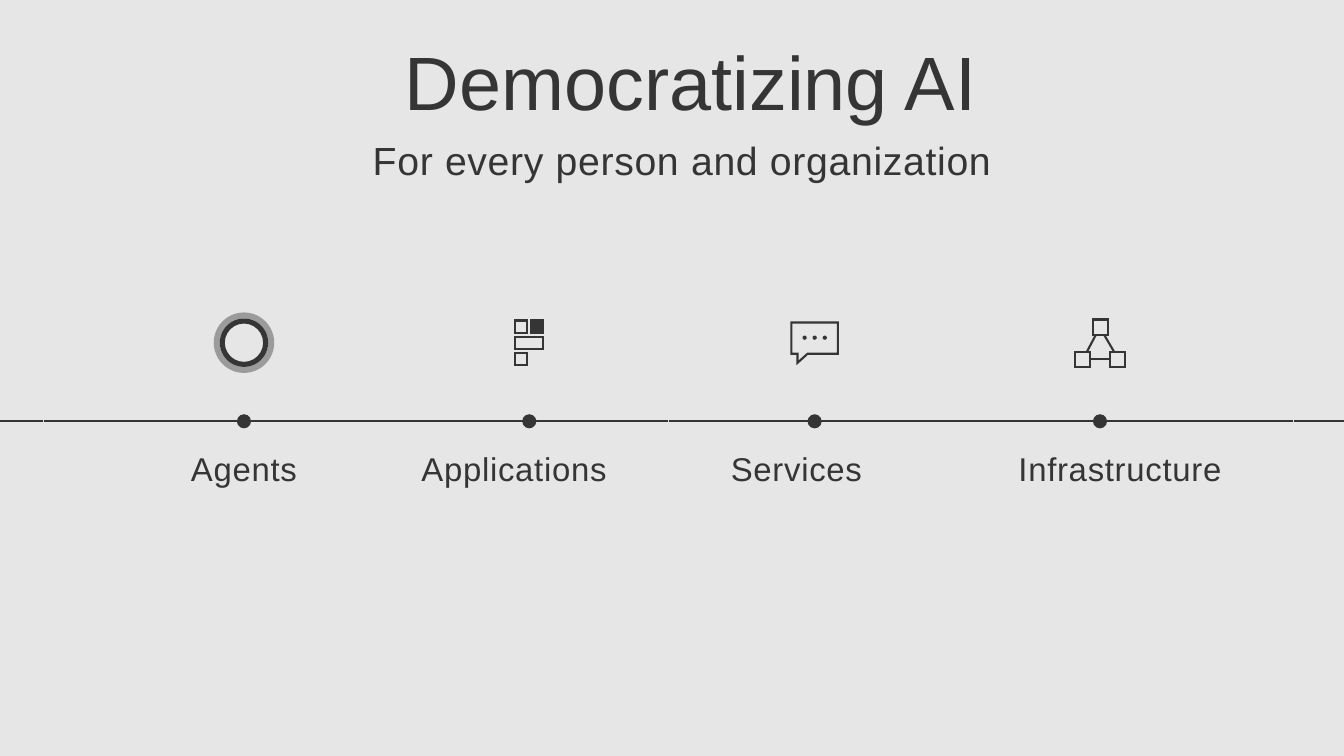
from lxml import etree
from pptx import Presentation
from pptx.dml.color import RGBColor
from pptx.enum.shapes import MSO_CONNECTOR, MSO_SHAPE as SHAPE
from pptx.enum.text import MSO_ANCHOR, MSO_AUTO_SIZE, PP_ALIGN
from pptx.oxml.ns import qn
from pptx.util import Inches, Pt

DARK = RGBColor(0x35, 0x35, 0x35)
HALO = RGBColor(0x3A, 0x3A, 0x3A)
BACK = RGBColor(0xE6, 0xE6, 0xE6)
LINE_Y = 4.18
FIRST_X, STEP_X = 2.42, 2.83
ICON = 0.6


def place(sp, x, y, w, h):
    """Move and size a shape, in inches."""
    sp.left, sp.top, sp.width, sp.height = (Inches(v) for v in (x, y, w, h))


def write(sp, text, size, spacing=0):
    """Set one centred line of text in a shape."""
    tf = sp.text_frame
    tf.text = text
    tf.word_wrap = True
    tf.auto_size = MSO_AUTO_SIZE.NONE
    tf.vertical_anchor = MSO_ANCHOR.MIDDLE
    tf.margin_left = tf.margin_right = 0
    tf.margin_top = tf.margin_bottom = Inches(0.05)
    p = tf.paragraphs[0]
    p.alignment = PP_ALIGN.CENTER
    p.space_before = 0
    r = p.runs[0]
    r.font.name, r.font.size, r.font.color.rgb = "Arial", Pt(size), DARK
    if spacing:
        r.font._element.set("spc", str(int(spacing * 100)))


def paint(sp, fill=None, line=None, width=1.5):
    """Give a shape its fill and sharp-cornered outline, without a shadow."""
    sp.shadow.inherit = False
    if fill is None:
        sp.fill.background()
    else:
        sp.fill.solid()
        sp.fill.fore_color.rgb = fill
    if line is None:
        sp.line.fill.background()
    else:
        sp.line.color.rgb = line
        sp.line.width = Pt(width)
        ln = sp._element.spPr.find(qn("a:ln"))
        etree.SubElement(ln, qn("a:miter")).set("lim", "800000")


def add_shape(s, kind, x, y, w, h, fill=None, line=None, width=1.5):
    """Add a painted preset shape."""
    sp = s.shapes.add_shape(kind, *(Inches(v) for v in (x, y, w, h)))
    paint(sp, fill, line, width)
    return sp


def add_line(s, x1, y1, x2, y2, width=1.5):
    """Add a straight dark line."""
    ends = (Inches(v) for v in (x1, y1, x2, y2))
    cxn = s.shapes.add_connector(MSO_CONNECTOR.STRAIGHT, *ends)
    cxn.line.color.rgb = DARK
    cxn.line.width = Pt(width)
    etree.SubElement(cxn._element.spPr, qn("a:effectLst"))


def agents_icon(s, x, y):
    """Draw a dark ring inside a translucent halo."""
    for inset, band, color in ((0.06, 0.05, DARK), (0, 0.06, HALO)):
        size = ICON - 2 * inset
        ring = add_shape(s, SHAPE.DONUT, x + inset, y + inset, size, size, color)
        ring.adjustments[0] = band / size
    color_el = ring._element.spPr.find(qn("a:solidFill"))[0]
    etree.SubElement(color_el, qn("a:alpha")).set("val", "43000")


def applications_icon(s, x, y):
    """Draw four tiles, one of them filled."""
    side, pitch = 0.12, 0.16
    tiles = ((0, 0, side, None), (1, 0, side, DARK),
             (0, 2, side, None), (0, 1, side + pitch, None))
    for col, row, w, fill in tiles:
        add_shape(s, SHAPE.RECTANGLE, x + 0.16 + col * pitch,
                  y + 0.08 + row * pitch, w, side, fill, DARK)


def services_icon(s, x, y):
    """Draw a speech bubble with three dots."""
    corners = [(0.53, 0.1), (0.07, 0.1), (0.07, 0.41), (0.13, 0.41),
               (0.13, 0.5), (0.23, 0.41), (0.53, 0.41)]
    points = [(Inches(x + dx), Inches(y + dy)) for dx, dy in corners]
    fb = s.shapes.build_freeform(*points[0])
    fb.add_line_segments(points[1:], close=True)
    paint(fb.convert_to_shape(), line=DARK)
    for i in range(3):
        add_shape(s, SHAPE.OVAL, x + 0.19 + 0.1 * i, y + 0.24, 0.02, 0.02, line=DARK)


def infrastructure_icon(s, x, y):
    """Draw three linked nodes in a triangle."""
    for dx, dy in ((0.23, 0.07), (0.05, 0.39), (0.4, 0.39)):
        add_shape(s, SHAPE.RECTANGLE, x + dx, y + dy, 0.15, 0.15, line=DARK)
    for x1, y1, x2, y2 in ((0.44, 0.39, 0.34, 0.22), (0.2, 0.46, 0.4, 0.46),
                           (0.26, 0.22, 0.17, 0.39)):
        add_line(s, x + x1, y + y1, x + x2, y + y2)


def heading(s, x, y, w):
    """Fill the title and subtitle placeholders."""
    title, subtitle = s.placeholders
    place(title, x + 0.52, y, w - 0.99, 1.01)
    write(title, "Democratizing AI", 54)
    place(subtitle, x, y + 1.15, w, 0.29)
    write(subtitle, "For every person and organization ", 28, 0.5)


def timeline(s, x, y, w):
    """Draw the line with its four stops, icons and labels."""
    add_line(s, x, y, x + w, y, 1.25)
    stops = (("Agents", 0, agents_icon), ("Applications", -0.15, applications_icon),
             ("Services", -0.18, services_icon),
             ("Infrastructure", 0.2, infrastructure_icon))
    for i, (name, shift, draw_icon) in enumerate(stops):
        cx = x + FIRST_X + i * STEP_X
        add_shape(s, SHAPE.OVAL, cx - 0.07, y - 0.07, 0.14, 0.14, DARK)
        draw_icon(s, cx - ICON / 2, y - 1.08)
        box = s.shapes.add_textbox(0, 0, 0, 0)
        place(box, cx + shift - 1.08, y + 0.26, 2.16, 0.41)
        write(box, name, 23.5, 0.5)


def frames(s, x, y, w, h):
    """Add the two background-coloured outlines over the timeline."""
    for left in (x + w / 2, x):
        add_shape(s, SHAPE.RECTANGLE, left, y, x + w - left, h, line=BACK, width=0.75)


def main():
    """Build the slide and save it."""
    prs = Presentation()
    prs.slide_width, prs.slide_height = Inches(13.33), Inches(7.5)
    s = prs.slides.add_slide(prs.slide_layouts[0])
    s.background.fill.solid()
    s.background.fill.fore_color.rgb = BACK
    heading(s, 1.66, 0.29, 10.33)
    timeline(s, 0, LINE_Y, 13.33)
    frames(s, 0.43, 2.63, 12.4, 4.34)
    prs.save("out.pptx")


if __name__ == "__main__":
    main()
